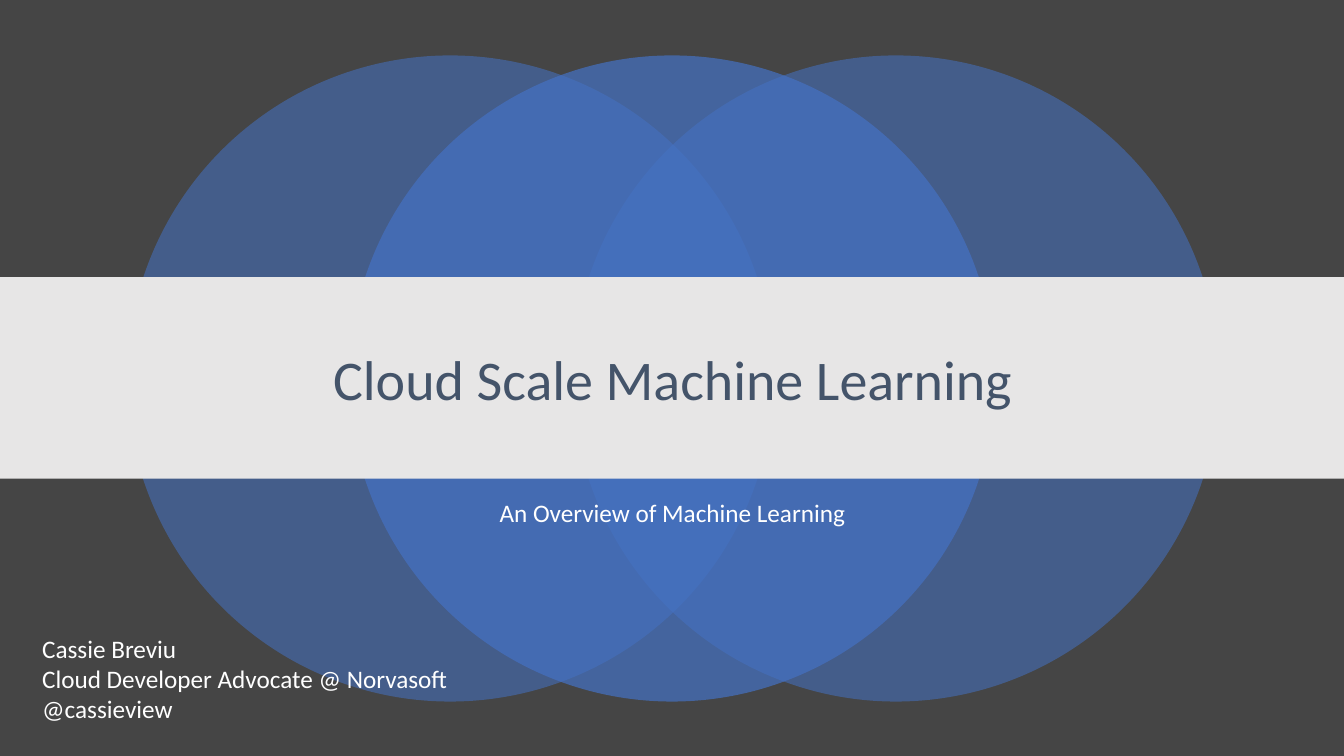
from lxml import etree
from pptx import Presentation
from pptx import util as u
from pptx.dml.color import RGBColor
from pptx.enum import shapes, text
from pptx.oxml import ns

BACKGROUND = RGBColor(0x45, 0x45, 0x45)
BLUE = RGBColor(0x44, 0x72, 0xC4)
BAND = RGBColor(0xE7, 0xE6, 0xE6)
SLATE = RGBColor(0x44, 0x54, 0x6A)
WHITE = RGBColor(0xFF, 0xFF, 0xFF)
FONT = "Calibri"
WIDTH, HEIGHT = 13.33, 7.5
CIRCLE_TOP, CIRCLE_SIZE = 0.55, 6.41


def add_filled(s, kind, x, y, w, h, color, opacity=100):
    sp = s.shapes.add_shape(kind, *map(u.Inches, (x, y, w, h)))
    sp.shadow.inherit = False
    sp.fill.solid()
    sp.fill.fore_color.rgb = color
    sp.line.fill.background()
    if opacity < 100:
        clr = sp.element.spPr.find(".//" + ns.qn("a:srgbClr"))
        etree.SubElement(clr, ns.qn("a:alpha"), val=str(opacity * 1000))
    return sp


def write(tf, lines, size, color, align=text.PP_ALIGN.LEFT, spacing=1.0, before=0):
    tf.word_wrap = True
    for i, line in enumerate(lines):
        p = tf.add_paragraph() if i else tf.paragraphs[0]
        p.alignment = align
        p.line_spacing = spacing
        p.space_before = u.Pt(before)
        r = p.add_run()
        r.text = line
        r.font.name = FONT
        r.font.size = u.Pt(size)
        r.font.color.rgb = color


def add_text(s, x, y, w, h, lines, **style):
    sp = s.shapes.add_textbox(*map(u.Inches, (x, y, w, h)))
    write(sp.text_frame, lines, 18, WHITE, **style)
    return sp


def place_title(s, x, y, w, h, line):
    sp = s.shapes.title
    sp.left, sp.top, sp.width, sp.height = map(u.Inches, (x, y, w, h))
    tf = sp.text_frame
    tf.auto_size = text.MSO_AUTO_SIZE.NONE
    tf.vertical_anchor = text.MSO_ANCHOR.MIDDLE
    write(tf, [line], 40, SLATE, text.PP_ALIGN.CENTER, 0.9)
    sp.element.getparent().append(sp.element)


def main():
    prs = Presentation()
    prs.slide_width, prs.slide_height = u.Inches(WIDTH), u.Inches(HEIGHT)
    s = prs.slides.add_slide(prs.slide_layouts[5])
    s.background.fill.solid()
    s.background.fill.fore_color.rgb = BACKGROUND

    for x, opacity in ((1.26, 55), (5.68, 55), (3.46, 70)):
        add_filled(s, shapes.MSO_SHAPE.OVAL, x, CIRCLE_TOP,
                   CIRCLE_SIZE, CIRCLE_SIZE, BLUE, opacity)

    add_text(s, 1.67, 4.92, 10, 0.83, ["An Overview of Machine Learning"],
             align=text.PP_ALIGN.CENTER, spacing=0.9, before=10)
    add_filled(s, shapes.MSO_SHAPE.RECTANGLE, 0, 2.75, WIDTH, 2, BAND)
    place_title(s, 1.67, 3.04, 10, 1.51, "Cloud Scale Machine Learning")
    speaker = add_text(s, 0.32, 6.23, 5.16, 1.01, [
        "Cassie Breviu",
        "Cloud Developer Advocate @ Norvasoft",
        "@cassieview",
    ])
    speaker.text_frame.auto_size = text.MSO_AUTO_SIZE.SHAPE_TO_FIT_TEXT

    prs.save("out.pptx")


if __name__ == "__main__":
    main()
